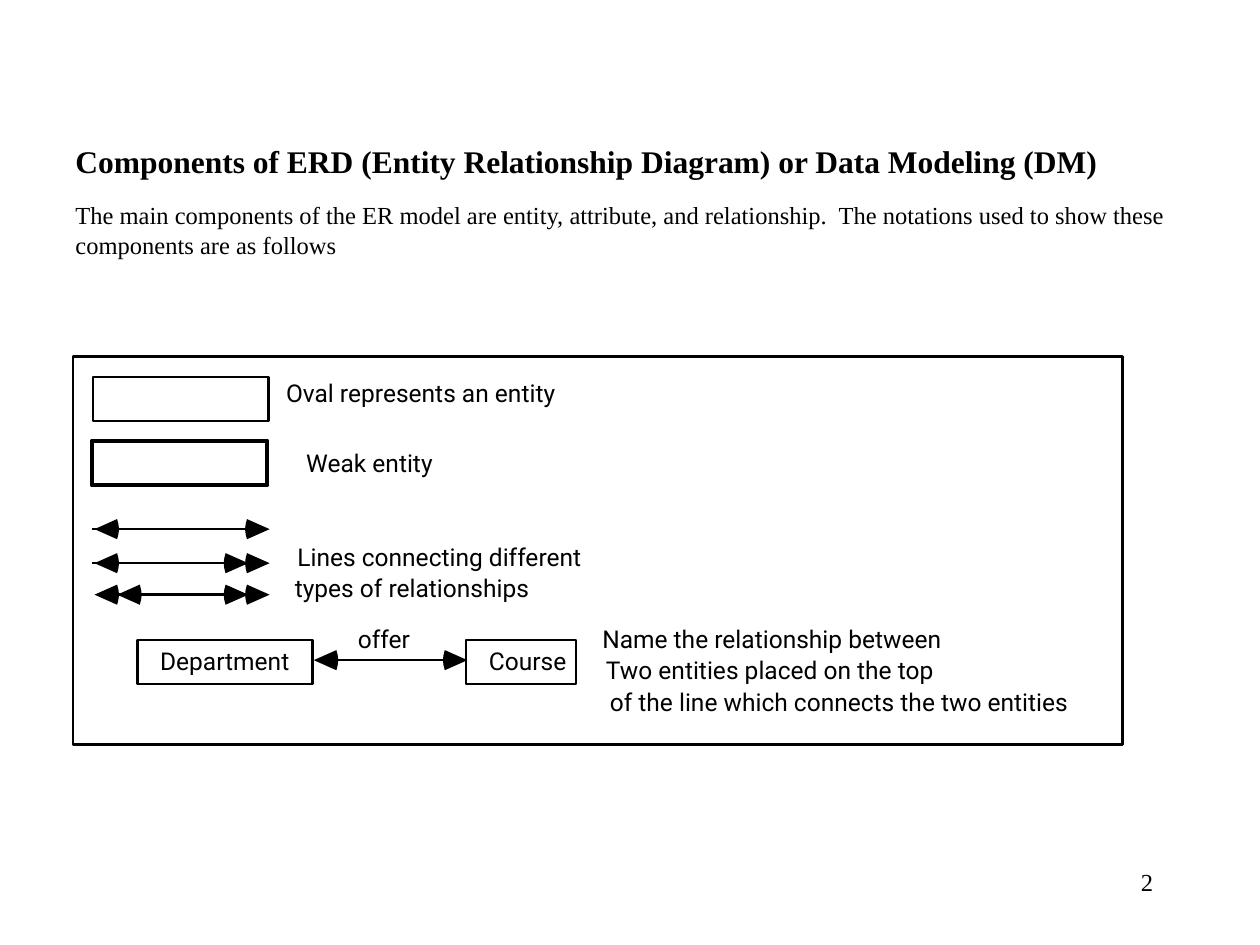
from lxml import etree
from pptx import Presentation
from pptx.dml.color import RGBColor
from pptx.enum.shapes import MSO_CONNECTOR, MSO_SHAPE
from pptx.enum.text import PP_ALIGN
from pptx.oxml.ns import qn
from pptx.util import Inches, Pt

RECT = MSO_SHAPE.RECTANGLE
STRAIGHT = MSO_CONNECTOR.STRAIGHT
LEFT, RIGHT = PP_ALIGN.LEFT, PP_ALIGN.RIGHT
COLORS = {"ink": "000000", "paper": "FFFFFF"}
SERIF, SANS = "Times New Roman", "Roboto"
THIN, THICK = 1.39, 2.75

TITLE = "Components of ERD (Entity Relationship Diagram) or Data Modeling (DM)"
INTRO = ("The main components of the ER model are entity, attribute, and relationship.  "
         "The notations used to show these components are as follows")
PAGE = "2"

BOXES = [
    (0.58, 2.83, 8.33, 3.08, THIN),
    (0.74, 2.99, 1.39, 0.35, THIN),
    (0.73, 3.5, 1.39, 0.35, THICK),
    (1.09, 5.08, 1.39, 0.35, THIN),
    (3.7, 5.08, 0.87, 0.35, THIN),
]
LABELS = [
    ("Oval represents an entity", 2.27, 3, 2.32),
    ("Weak entity", 2.43, 3.56, 1.1),
    ("Lines connecting different", 2.36, 4.3, 2.49),
    ("types of relationships", 2.34, 4.55, 1.97),
    ("offer", 2.84, 4.95, 0.44),
    ("Department", 1.27, 5.13, 1.12),
    ("Course", 3.88, 5.13, 0.65),
    ("Name the relationship between", 4.78, 4.95, 2.99),
    ("Two entities placed on the top", 4.81, 5.2, 2.76),
    ("of the line which connects the two entities", 4.84, 5.45, 3.85),
]
# y, line start, line end, tips pointing left, tips pointing right
ARROWS = [
    (4.2, 0.73, 2.12, [0.75], [2.14]),
    (4.47, 0.73, 2.12, [0.75], [1.97, 2.14]),
    (4.72, 0.89, 1.97, [0.75, 0.93], [1.97, 2.14]),
    (5.24, 2.63, 3.53, [2.49], [3.71]),
]
HEAD = [(0.18, -0.08), (0.19, -0.04), (0.195, 0), (0.19, 0.04), (0.18, 0.08)]


def rgb(name):
    return RGBColor.from_string(COLORS[name])


def write(p, text, *, size=14, font=SANS, bold=False, align=LEFT, before=0):
    p.alignment = align
    p.space_before = Pt(before)
    r = p.add_run()
    r.text = text
    r.font.size, r.font.name, r.font.bold = Pt(size), font, bold
    r.font.color.rgb = rgb("ink")


def add_text_frame(s, x, y, w, h, wrap=True):
    tf = s.shapes.add_textbox(Inches(x), Inches(y), Inches(w), Inches(h)).text_frame
    tf.word_wrap = wrap
    if not wrap:
        tf.margin_left = tf.margin_right = tf.margin_top = tf.margin_bottom = 0
    return tf


def add_box(s, x, y, w, h, weight):
    sp = s.shapes.add_shape(RECT, Inches(x), Inches(y), Inches(w), Inches(h))
    sp.shadow.inherit = False
    sp.fill.solid()
    sp.fill.fore_color.rgb = rgb("paper")
    sp.line.color.rgb = rgb("ink")
    sp.line.width = Pt(weight)


def add_line(s, y, start, end):
    line = s.shapes.add_connector(STRAIGHT, Inches(start), Inches(y), Inches(end), Inches(y))
    line.line.color.rgb = rgb("ink")
    line.line.width = Pt(THIN)
    etree.SubElement(line._element.spPr, qn("a:effectLst"))


def add_head(s, tip, y, side):
    fb = s.shapes.build_freeform(Inches(tip), Inches(y))
    fb.add_line_segments([(Inches(tip + side * dx), Inches(y + dy)) for dx, dy in HEAD])
    sp = fb.convert_to_shape()
    sp.shadow.inherit = False
    sp.fill.solid()
    sp.fill.fore_color.rgb = rgb("ink")
    sp.line.fill.background()


def main():
    prs = Presentation()
    prs.slide_width, prs.slide_height = Inches(10), Inches(7.5)
    s = prs.slides.add_slide(prs.slide_layouts[6])

    for box in BOXES:
        add_box(s, *box)
    for y, start, end, left_tips, right_tips in ARROWS:
        add_line(s, y, start, end)
        for side, tips in ((1, left_tips), (-1, right_tips)):
            for tip in tips:
                add_head(s, tip, y, side)
    for text, x, y, w in LABELS:
        write(add_text_frame(s, x, y, w, 0.23, wrap=False).paragraphs[0], text)

    tf = add_text_frame(s, 0.5, 1.08, 8.92, 1.04)
    write(tf.paragraphs[0], TITLE, size=18, font=SERIF, bold=True)
    write(tf.add_paragraph(), INTRO, font=SERIF, before=11.5)
    tf = add_text_frame(s, 7.17, 6.83, 2.08, 0.5)
    write(tf.paragraphs[0], PAGE, font=SERIF, align=RIGHT)

    prs.save("out.pptx")


if __name__ == "__main__":
    main()
